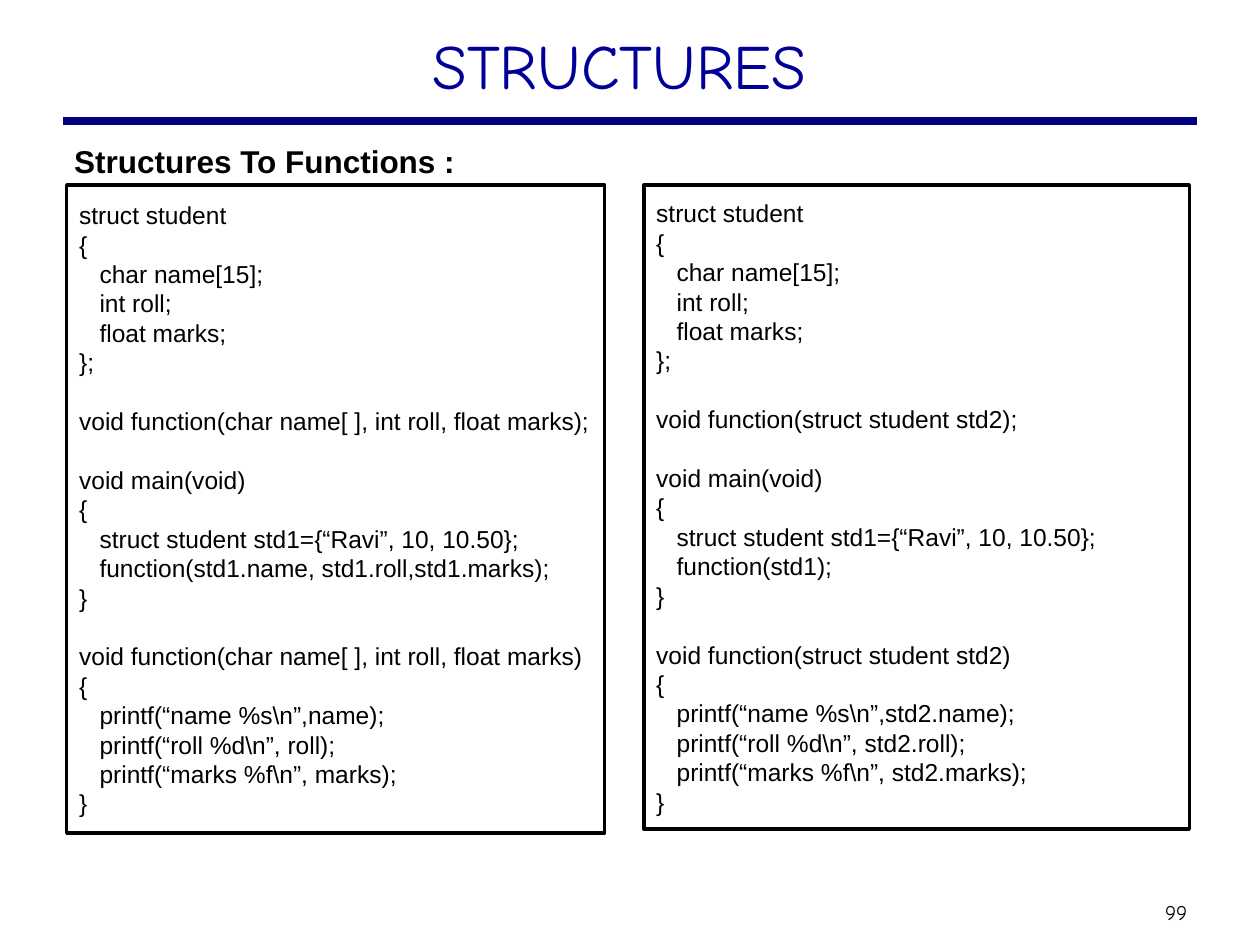
from pptx import Presentation
from pptx.dml.color import RGBColor
from pptx.enum.shapes import MSO_CONNECTOR, MSO_SHAPE
from pptx.enum.text import MSO_ANCHOR, PP_ALIGN
from pptx.oxml.ns import qn
from pptx.util import Inches, Pt

NAVY, TITLE_BLUE, BLACK = "000080", "000099", "000000"


def color(hex_value):
    return RGBColor.from_string(hex_value)


def apply(target, values):
    for name, value in values.items():
        setattr(target, name, value)


class SlideBuilder:
    code_pitch = Pt(16.8)
    code_font = {"name": "Arial", "size": Pt(14)}
    insets = {"margin_left": Inches(0.1), "margin_right": Inches(0.1),
              "margin_top": Inches(0.05), "margin_bottom": Inches(0.05),
              "word_wrap": True}

    def __init__(self, slide):
        self.slide = slide

    def rule(self, left, right, y, hex_value, width):
        line = self.slide.shapes.add_connector(
            MSO_CONNECTOR.STRAIGHT, Inches(left), Inches(y), Inches(right), Inches(y))
        line.line.color.rgb = color(hex_value)
        line.line.width = Pt(width)
        properties = line._element.spPr
        properties.append(properties.makeelement(qn("a:effectLst"), {}))

    def set_text(self, paragraph, text, font, hex_value, layout):
        paragraph.text = text
        apply(paragraph, layout)
        apply(paragraph.font, font)
        paragraph.font.color.rgb = color(hex_value)

    def label(self, box, text, font, hex_value, align=PP_ALIGN.LEFT, **frame_values):
        frame = self.slide.shapes.add_textbox(*map(Inches, box)).text_frame
        apply(frame, self.insets | frame_values)
        self.set_text(frame.paragraphs[0], text, font, hex_value, {"alignment": align})

    def code_panel(self, box, sections):
        panel = self.slide.shapes.add_shape(MSO_SHAPE.RECTANGLE, *map(Inches, box))
        panel.shadow.inherit = False
        panel.fill.background()
        panel.line.color.rgb = color(BLACK)
        panel.line.width = Pt(2)
        frame = panel.text_frame
        apply(frame, self.insets | {"margin_right": 0,
                                    "vertical_anchor": MSO_ANCHOR.MIDDLE})
        paragraph = frame.paragraphs[0]
        for section_index, section in enumerate(sections):
            for line_index, code in enumerate(section.splitlines()):
                if section_index or line_index:
                    paragraph = frame.add_paragraph()
                # One line of space separates the sections of the program
                gap = self.code_pitch if section_index and not line_index else 0
                self.set_text(paragraph, code, self.code_font, BLACK,
                              {"alignment": PP_ALIGN.LEFT, "space_before": gap,
                               "line_spacing": self.code_pitch})


def program(parameters, arguments, prefix):
    """The sections of one C program, by the way it passes the structure."""
    signature = f"void function({parameters})"
    return [
        """struct student
{
   char name[15];
   int roll;
   float marks;
};""",
        f"{signature};",
        f"""void main(void)
{{
   struct student std1={{“Ravi”, 10, 10.50}};
   function({arguments});
}}""",
        f"""{signature}
{{
   printf(“name %s\\n”,{prefix}name);
   printf(“roll %d\\n”, {prefix}roll);
   printf(“marks %f\\n”, {prefix}marks);
}}""",
    ]


def main():
    presentation = Presentation()
    presentation.slide_width, presentation.slide_height = Inches(10), Inches(7.5)
    builder = SlideBuilder(presentation.slides.add_slide(presentation.slide_layouts[6]))

    # Rule and page number
    builder.rule(0.5, 9.5, 0.96, NAVY, 4.5)
    builder.label((9.1, 7.09, 0.47, 0.3), "99", {"name": "Comic Neue", "size": Pt(12)},
                  BLACK, PP_ALIGN.CENTER, vertical_anchor=MSO_ANCHOR.MIDDLE,
                  margin_left=Inches(0.05), margin_right=Inches(0.05))

    # Title and heading
    builder.label((0.75, 0.16, 8.5, 0.76), "STRUCTURES ",
                  {"name": "Comic Neue", "size": Pt(36)}, TITLE_BLUE, PP_ALIGN.CENTER)
    builder.label((0.49, 1.08, 8.99, 6.04), "Structures To Functions :",
                  {"name": "Arial", "size": Pt(18), "bold": True}, BLACK)

    # Passing the members, then passing the whole structure
    builder.code_panel((0.53, 1.47, 4.27, 5.14), program(
        "char name[ ], int roll, float marks", "std1.name, std1.roll,std1.marks", ""))
    builder.code_panel((5.11, 1.47, 4.33, 5.11), program(
        "struct student std2", "std1", "std2."))

    presentation.save("out.pptx")


if __name__ == "__main__":
    main()
